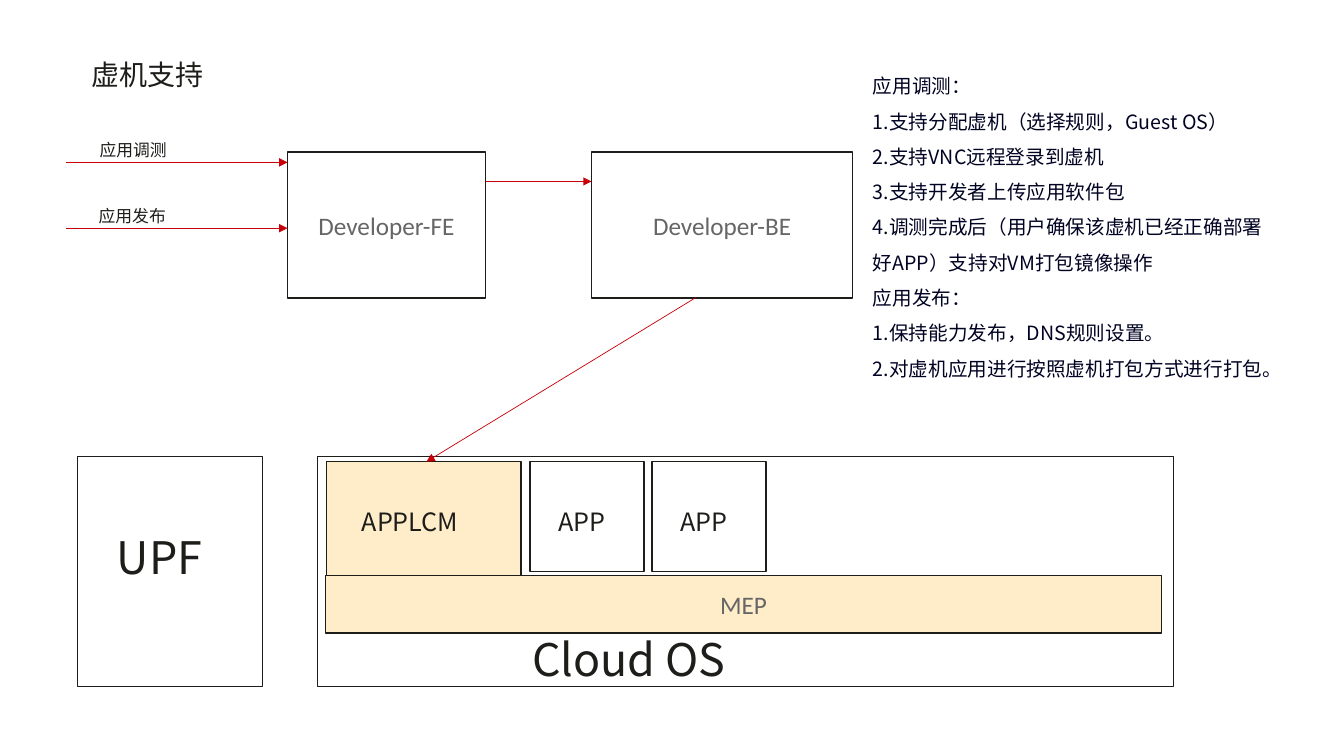
from lxml import etree
from pptx import Presentation
from pptx.dml.color import RGBColor
from pptx.enum.shapes import MSO_CONNECTOR, MSO_SHAPE
from pptx.enum.text import MSO_ANCHOR, MSO_AUTO_SIZE, PP_ALIGN
from pptx.oxml.ns import qn
from pptx.util import Pt

RECTANGLE, PROCESS = MSO_SHAPE.RECTANGLE, MSO_SHAPE.FLOWCHART_PROCESS
STRAIGHT = MSO_CONNECTOR.STRAIGHT
TOP, MIDDLE = MSO_ANCHOR.TOP, MSO_ANCHOR.MIDDLE
LEFT, CENTER = PP_ALIGN.LEFT, PP_ALIGN.CENTER
NO_AUTOFIT = MSO_AUTO_SIZE.NONE

CJK_FONT, BOX_FONT = "Noto Sans CJK SC", "Calibri"
INK, GREY, NAVY, RED, CREAM = "1D1D1A", "666666", "000322", "C7000A", "FFEDCA"
LABEL_SPACING = Pt(34.4)

TITLE = "虚机支持"
NOTES = [
    "应用调测：",
    "1.支持分配虚机（选择规则，Guest OS）",
    "2.支持VNC远程登录到虚机",
    "3.支持开发者上传应用软件包",
    "4.调测完成后（用户确保该虚机已经正确部署好APP）支持对VM打包镜像操作",
    "应用发布：",
    "1.保持能力发布，DNS规则设置。",
    "2.对虚机应用进行按照虚机打包方式进行打包。",
]
TITLE_AREA = (58.3, 27.4, 218.2, 41.8)
NOTES_AREA = (616.3, 41, 299.5, 236.2)

# Preset, (left, top, width, height), fill, centred text
BOXES = [
    (RECTANGLE, (226.8, 326.2, 611.3, 164.2), None, ""),
    (RECTANGLE, (422.6, 108.7, 186.5, 104.1), None, "Developer-BE"),
    (RECTANGLE, (205.4, 108.7, 141.3, 104.1), None, "Developer-FE"),
    (PROCESS, (55.6, 326.2, 131.8, 164.2), None, ""),
    (RECTANGLE, (232.6, 411.1, 596.9, 41), CREAM, "MEP"),
    (RECTANGLE, (233.3, 329.8, 139, 81.4), CREAM, ""),
    (RECTANGLE, (378.7, 329.8, 81.4, 78.5), None, ""),
    (RECTANGLE, (465.8, 329.8, 81.4, 78.5), None, ""),
]
# Text, (left, top, width, height), size, line spacing
LABELS = [
    ("UPF", (76.3, 378.7, 87.8, 41.8), 32, LABEL_SPACING),
    ("Cloud OS", (373, 451.4, 403.2, 41.8), 32, LABEL_SPACING),
    ("APPLCM", (251.3, 345.6, 103, 41.8), 18, LABEL_SPACING),
    ("APP", (391.7, 345, 56.2, 41.8), 18, LABEL_SPACING),
    ("APP", (478.8, 345.6, 56.2, 41.8), 18, LABEL_SPACING),
    ("应用调测", (64.1, 96.5, 100.1, 21.6), 12, None),
    ("应用发布", (63.4, 143.6, 100.1, 21.6), 12, None),
]
# Start x, start y, end x, end y
ARROWS = [
    (47.5, 116, 205.4, 116),
    (47.5, 163, 205.4, 163),
    (346.8, 129.6, 422.6, 129.6),
    (496.8, 212.7, 304.6, 329.8),
]


def color(value):
    return RGBColor.from_string(value)


def points(values):
    return [Pt(value) for value in values]


def add_text(frame, lines, size, font, ink, align=LEFT, anchor=TOP, spacing=None):
    frame.word_wrap = True
    frame.auto_size = NO_AUTOFIT
    frame.vertical_anchor = anchor
    for index, line in enumerate(lines):
        paragraph = frame.add_paragraph() if index else frame.paragraphs[0]
        paragraph.alignment = align
        paragraph.space_before = Pt(0)
        if spacing:
            paragraph.line_spacing = spacing
        run = paragraph.add_run()
        run.text = line
        run.font.size = Pt(size)
        run.font.name = font
        run.font.color.rgb = color(ink)
        east_asian = etree.SubElement(run.font._element, qn("a:ea"))
        east_asian.set("typeface", font)


def place(shape, area):
    shape.left, shape.top, shape.width, shape.height = points(area)


def add_box(slide, preset, area, fill, text):
    box = slide.shapes.add_shape(preset, *points(area))
    box.shadow.inherit = False
    if fill:
        box.fill.solid()
        box.fill.fore_color.rgb = color(fill)
    else:
        box.fill.background()
    box.line.color.rgb = color(INK)
    box.line.width = Pt(1)
    if text:
        add_text(box.text_frame, [text], 18, BOX_FONT, GREY, CENTER, MIDDLE)


def add_arrow(slide, ends):
    arrow = slide.shapes.add_connector(STRAIGHT, *points(ends))
    arrow.line.color.rgb = color(RED)
    arrow.line.width = Pt(0.5)
    etree.SubElement(arrow.line._get_or_add_ln(), qn("a:tailEnd")).set("type", "triangle")
    etree.SubElement(arrow._element.spPr, qn("a:effectLst"))


def remove_bullets(frame):
    for paragraph in frame.paragraphs:
        properties = paragraph._p.get_or_add_pPr()
        properties.set("marL", "0")
        properties.set("indent", "0")
        etree.SubElement(properties, qn("a:buNone"))


def main():
    presentation = Presentation()
    presentation.slide_width, presentation.slide_height = Pt(960), Pt(540)
    slide = presentation.slides.add_slide(presentation.slide_layouts[1])

    title, notes = slide.shapes.title, slide.placeholders[1]
    place(title, TITLE_AREA)
    add_text(title.text_frame, [TITLE], 20, CJK_FONT, INK, spacing=LABEL_SPACING)
    place(notes, NOTES_AREA)
    add_text(notes.text_frame, NOTES, 14, CJK_FONT, NAVY, spacing=1.5)
    remove_bullets(notes.text_frame)

    for box in BOXES:
        add_box(slide, *box)
    for text, area, size, spacing in LABELS:
        label = slide.shapes.add_textbox(*points(area))
        add_text(label.text_frame, [text], size, CJK_FONT, INK, spacing=spacing)
    for ends in ARROWS:
        add_arrow(slide, ends)

    presentation.save("out.pptx")


if __name__ == "__main__":
    main()
